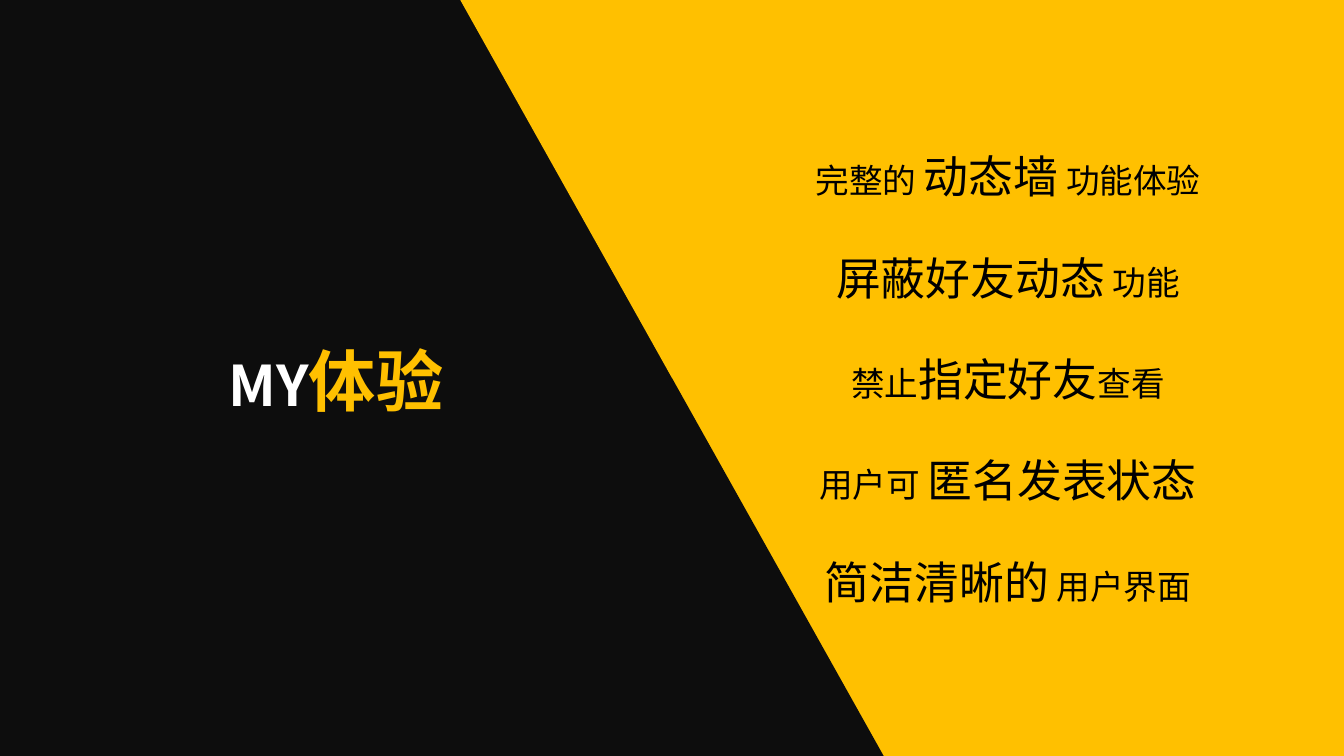
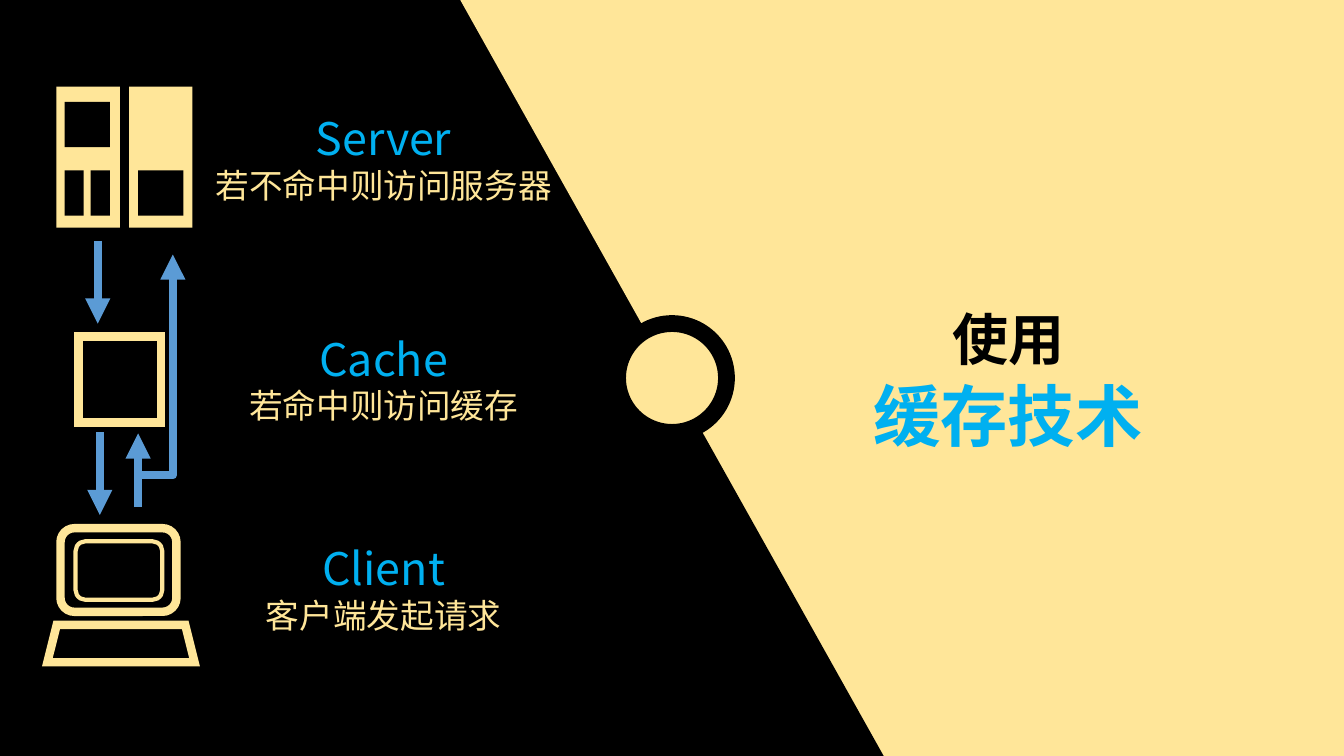
"""Build two diagonal-split slides: an experience list and a caching diagram."""
from dataclasses import dataclass

from lxml import etree
from pptx import Presentation
from pptx import util as u
from pptx.dml.color import RGBColor
from pptx.enum import shapes, text
from pptx.oxml import ns

FONT = "Noto Sans CJK SC"
COLORS = {
    "amber": "FFC000",
    "charcoal": "0D0D0D",
    "cream": "FFE699",
    "black": "000000",
    "white": "FFFFFF",
    "sky": "00B0F0",
    "arrow": "5B9BD5",
}
WIDTH, HEIGHT = 13.33, 7.5
HALF_W, HALF_H = WIDTH / 2, HEIGHT / 2
SLANT = 2.1
LINE_HEIGHT = 1.22
KIND = shapes.MSO_SHAPE


@dataclass(frozen=True)
class Run:
    words: str
    size: int
    color: str = "black"


@dataclass(frozen=True)
class Box:
    left: float
    top: float
    width: float
    height: float

    def lengths(self) -> list:
        return [u.Inches(v) for v in (self.left, self.top, self.width, self.height)]


@dataclass(frozen=True)
class Tier:
    name: str
    role: str
    top: float


@dataclass(frozen=True)
class Arrow:
    x: float
    start: float
    end: float


EXPERIENCES = [
    [Run("完整的 ", 24), Run("动态墙", 32), Run(" 功能体验", 24)],
    [Run("屏蔽好友动态", 32), Run(" 功能", 24)],
    [Run("禁止", 24), Run("指定好友", 32), Run("查看", 24)],
    [Run("用户可 ", 24), Run("匿名发表状态", 32)],
    [Run("简洁清晰的", 32), Run(" 用户界面", 24)],
]
TIERS = [
    Tier("Server", "若不命中则访问服务器", 1.04),
    Tier("Cache", "若命中则访问缓存", 3.23),
    Tier("Client", "客户端发起请求", 5.31),
]
CABINETS = [Box(x, 0.86, 0.63, 1.4) for x in (0.56, 1.28)]
BAYS = [
    Box(0.64, 1.01, 0.45, 0.45),
    Box(0.64, 1.69, 0.19, 0.45),
    Box(0.9, 1.69, 0.19, 0.45),
    Box(1.37, 1.69, 0.45, 0.45),
]
OUTLINES = [
    (KIND.RECTANGLE, Box(0.78, 3.34, 0.82, 0.85), 6),
    (KIND.ROUNDED_RECTANGLE, Box(0.6, 5.24, 1.15, 0.83), 6),
    (KIND.ROUNDED_RECTANGLE, Box(0.75, 5.37, 0.86, 0.58), 3),
    (KIND.TRAPEZOID, Box(0.47, 6.2, 1.46, 0.37), 6),
]
ARROWS = [Arrow(0.97, 2.39, 3.21), Arrow(0.99, 4.29, 5.11), Arrow(1.37, 5.03, 4.3)]


def rgb(color: str) -> RGBColor:
    return RGBColor.from_string(COLORS[color])


def add_xml(parent, tag: str, **attributes: str):
    return etree.SubElement(parent, ns.qn(tag), **attributes)


def write(holder, lines: list, *, bold: bool = False, gap: float = 0) -> None:
    frame = holder.text_frame
    frame.word_wrap = True
    frame.auto_size = text.MSO_AUTO_SIZE.NONE
    frame.vertical_anchor = text.MSO_ANCHOR.TOP
    for index, line in enumerate(lines):
        paragraph = frame.add_paragraph() if index else frame.paragraphs[0]
        paragraph.alignment = text.PP_ALIGN.CENTER
        paragraph.line_spacing = u.Pt(round(LINE_HEIGHT * max(r.size for r in line)))
        paragraph.space_before = u.Pt(0)
        paragraph.space_after = u.Pt(gap)
        properties = paragraph._p.get_or_add_pPr()
        properties.set("marL", "0")
        properties.set("indent", "0")
        add_xml(properties, "a:buNone")
        for part in line:
            run = paragraph.add_run()
            run.text = part.words
            run.font.size = u.Pt(part.size)
            run.font.bold = bold
            run.font.color.rgb = rgb(part.color)
            run.font.name = FONT
            add_xml(run.font._element, "a:ea", typeface=FONT)


def fill_placeholder(holder, box: Box, lines: list, **style) -> None:
    holder.left, holder.top, holder.width, holder.height = box.lengths()
    write(holder, lines, **style)
    holder.element.getparent().append(holder.element)


def draw(slide, kind, box: Box, *, fill: str = "", line: str = "",
         weight: float = 0, turn: float = 0) -> None:
    figure = slide.shapes.add_shape(kind, *box.lengths())
    figure.shadow.inherit = False
    figure.rotation = turn
    if fill:
        figure.fill.solid()
        figure.fill.fore_color.rgb = rgb(fill)
    else:
        figure.fill.background()
    if line:
        figure.line.color.rgb = rgb(line)
        figure.line.width = u.Pt(weight)
        add_xml(figure.line._get_or_add_ln(), "a:miter", lim="800000")
    else:
        figure.line.fill.background()


def draw_arrow(slide, kind, start: tuple, end: tuple):
    arrow = slide.shapes.add_connector(kind, *[u.Inches(v) for v in (*start, *end)])
    arrow.line.color.rgb = rgb("arrow")
    arrow.line.width = u.Pt(6)
    add_xml(arrow.line._get_or_add_ln(), "a:tailEnd", type="triangle")
    add_xml(arrow.element.spPr, "a:effectLst")
    return arrow


def draw_split(slide, dark: str, bright: str) -> None:
    draw(slide, KIND.RECTANGLE, Box(HALF_W, 0, HALF_W, HEIGHT), fill=bright)
    draw(slide, KIND.RECTANGLE, Box(0, 0, HALF_W, HEIGHT), fill=dark)
    draw(slide, KIND.RIGHT_TRIANGLE, Box(HALF_W - SLANT, 0, SLANT, HALF_H),
         fill=bright, turn=180)
    draw(slide, KIND.RIGHT_TRIANGLE, Box(HALF_W, HALF_H, SLANT, HALF_H), fill=dark)


def build_experience(deck) -> None:
    slide = deck.slides.add_slide(deck.slide_layouts[1])
    draw_split(slide, "charcoal", "amber")
    fill_placeholder(slide.shapes.title, Box(0, 3.3, HALF_W, 0.91),
                     [[Run("MY", 40, "white"), Run("体验", 48, "amber")]], bold=True)
    fill_placeholder(slide.placeholders[1], Box(HALF_W, 1.42, HALF_W, 4.66),
                     EXPERIENCES, gap=33.4)


def draw_bypass(slide) -> None:
    bypass = draw_arrow(slide, shapes.MSO_CONNECTOR.ELBOW, (2.64, 3.75), (0.49, 3.45))
    properties = bypass.element.spPr
    properties.find(ns.qn("a:xfrm")).set("rot", "5400000")
    geometry = properties.find(ns.qn("a:prstGeom"))
    guides = geometry.find(ns.qn("a:avLst"))
    if guides is None:
        guides = add_xml(geometry, "a:avLst")
    add_xml(guides, "a:gd", name="adj1", fmla="val -1800")


def build_caching(deck) -> None:
    slide = deck.slides.add_slide(deck.slide_layouts[5])
    draw_split(slide, "black", "cream")
    draw(slide, KIND.OVAL, Box(HALF_W - 0.54, HALF_H - 0.54, 1.08, 1.08),
         fill="cream", line="black", weight=12)
    fill_placeholder(slide.shapes.title, Box(HALF_W, 2.96, HALF_W, 1.58),
                     [[Run("使用", 40)], [Run("缓存技术", 48, "sky")]], bold=True)
    for cabinet in CABINETS:
        draw(slide, KIND.RECTANGLE, cabinet, fill="cream")
    for bay in BAYS:
        draw(slide, KIND.RECTANGLE, bay, fill="black")
    for kind, box, weight in OUTLINES:
        draw(slide, kind, box, line="cream", weight=weight)
    for arrow in ARROWS:
        draw_arrow(slide, shapes.MSO_CONNECTOR.STRAIGHT,
                   (arrow.x, arrow.start), (arrow.x, arrow.end))
    draw_bypass(slide)
    for tier in TIERS:
        label = slide.shapes.add_textbox(*Box(1.9, tier.top, 3.81, 1.04).lengths())
        write(label, [[Run(tier.name, 32, "sky")], [Run(tier.role, 24, "cream")]])


def main() -> None:
    deck = Presentation()
    deck.slide_width = u.Inches(WIDTH)
    deck.slide_height = u.Inches(HEIGHT)
    build_experience(deck)
    build_caching(deck)
    deck.save("out.pptx")


if __name__ == "__main__":
    main()
